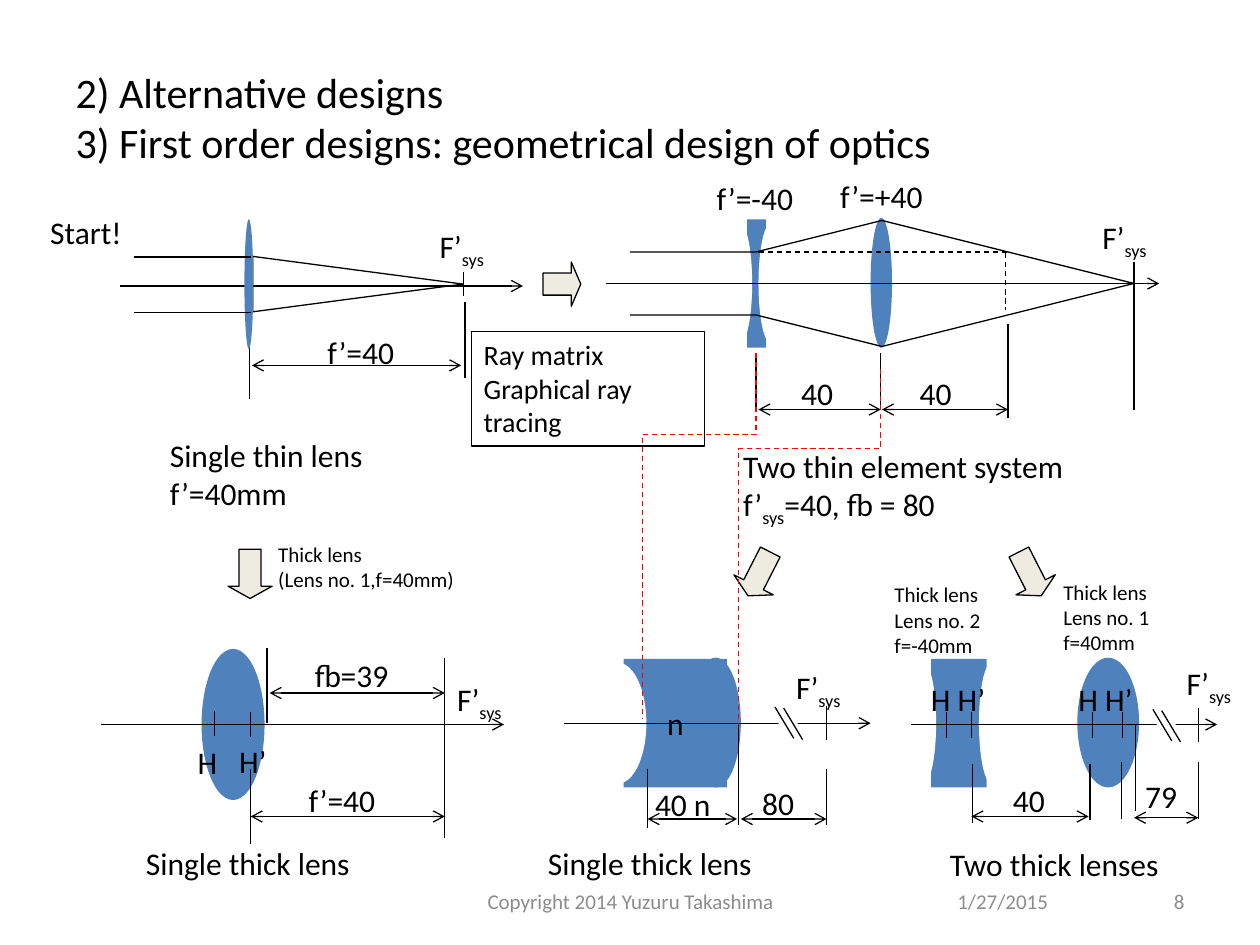
"""Build the slide on alternative and first order optical designs."""
from dataclasses import dataclass

from lxml import etree
from pptx import Presentation
from pptx.dml.color import RGBColor
from pptx.enum.dml import MSO_LINE
from pptx.enum.shapes import MSO_CONNECTOR, MSO_SHAPE
from pptx.enum.text import MSO_ANCHOR, MSO_AUTO_SIZE, PP_ALIGN
from pptx.oxml.ns import qn
from pptx.util import Pt

PX = 9144
STRAIGHT = MSO_CONNECTOR.STRAIGHT
DASH = MSO_LINE.DASH
OVAL, RECT, TRIANGLE = MSO_SHAPE.OVAL, MSO_SHAPE.RECTANGLE, MSO_SHAPE.ISOSCELES_TRIANGLE
DOWN, RIGHT = MSO_SHAPE.DOWN_ARROW, MSO_SHAPE.RIGHT_ARROW
MIDDLE, TOP = MSO_ANCHOR.MIDDLE, MSO_ANCHOR.TOP
GROW, FIXED = MSO_AUTO_SIZE.SHAPE_TO_FIT_TEXT, MSO_AUTO_SIZE.NONE
ALIGN_LEFT, ALIGN_CENTER, ALIGN_RIGHT = PP_ALIGN.LEFT, PP_ALIGN.CENTER, PP_ALIGN.RIGHT
CONVEX_LENS, CONCAVE_LENS = "Lens no. 1", "Lens no. 2"


@dataclass(frozen=True)
class Theme:
    font: str = "Calibri"
    ink: str = "000000"
    glass: str = "4F81BD"
    paper: str = "FFFFFF"
    arrow: str = "EEECE1"
    guide: str = "FF0000"
    footer: str = "8C8C8C"
    title_size: int = 24
    label_size: int = 18
    method_size: int = 16
    note_size: int = 12
    stroke: float = 0.75


THEME = Theme()


def assign(target, values):
    for name, value in values.items():
        setattr(target, name, value)


def style_font(font, size, color):
    assign(font, {"name": THEME.font, "size": Pt(size)})
    font.color.rgb = RGBColor.from_string(color)


def write(frame, text, size=THEME.label_size, color=THEME.ink, align=ALIGN_LEFT, **settings):
    """Fill a frame line by line, setting the parts between tildes as subscripts."""
    assign(frame, settings)
    for index, content in enumerate(text.split("\n")):
        paragraph = frame.add_paragraph() if index else frame.paragraphs[0]
        paragraph.alignment = align
        for part, words in enumerate(content.split("~")):
            run = paragraph.add_run()
            run.text = words
            style_font(run.font, size, color)
            if part % 2:
                run.font._element.set("baseline", "-25000")


def stroke(line, color=THEME.ink, dash=None):
    line.color.rgb = RGBColor.from_string(color)
    assign(line, {"width": Pt(THEME.stroke), "dash_style": dash})


@dataclass
class Region:
    shapes: object
    left: int
    top: int

    def place(self, left, top, width, height):
        return [PX * n for n in (self.left + left, self.top + top, width, height)]

    def label(self, text, left, top, width, height=40, **style):
        box = self.shapes.add_textbox(*self.place(left, top, width, height))
        write(box.text_frame, text, **{"word_wrap": False, "auto_size": GROW, **style})

    def shape(self, kind, left, top, width, height, fill=None, outlined=False, rotation=0, adjust=()):
        shape = self.shapes.add_shape(kind, *self.place(left, top, width, height))
        shape.shadow.inherit = False
        shape.rotation = rotation
        for index, value in enumerate(adjust):
            shape.adjustments[index] = value
        if fill:
            shape.fill.solid()
            shape.fill.fore_color.rgb = RGBColor.from_string(fill)
        else:
            shape.fill.background()
        if outlined:
            stroke(shape.line)
        else:
            shape.line.fill.background()
        return shape

    def line(self, x1, y1, x2, y2, ends=(), dash=None):
        start, finish = self.place(x1, y1, 0, 0)[:2], self.place(x2, y2, 0, 0)[:2]
        connector = self.shapes.add_connector(STRAIGHT, *start, *finish)
        stroke(connector.line, dash=dash)
        for end in ends:
            etree.SubElement(connector.line._get_or_add_ln(), qn(f"a:{end}End"), type="arrow")
        etree.SubElement(connector._element.spPr, qn("a:effectLst"))

    def uprights(self, *spans):
        for x, y1, y2 in spans:
            self.line(x, y1, x, y2)

    def axis(self, x1, x2, y):
        self.line(x1, y, x2, y, ends=("tail",))

    def dimension(self, x1, x2, y):
        self.line(x1, y, x2, y, ends=("head", "tail"))

    def polyline(self, points, color=THEME.ink, dash=None):
        builder = self.shapes.build_freeform(*points[0], scale=PX)
        builder.add_line_segments(points[1:], close=False)
        route = builder.convert_to_shape(PX * self.left, PX * self.top)
        route.shadow.inherit = False
        route.fill.background()
        stroke(route.line, color, dash)

    def focus(self, left, top):
        self.label("F’~sys", left, top, 66)

    def concave_lens(self, left, top, width):
        self.shape(RECT, left, top, width, 102, THEME.glass)
        for hollow in (left - 16, left + width - 6):
            self.shape(OVAL, hollow, top + 3, 20, 96, THEME.paper)

    def axis_break(self, left, top):
        self.shape(RECT, left + 3, top + 6, 15, 14, THEME.paper)
        for shift, drop in ((0, 0), (7, 1)):
            self.line(left + shift, top + drop, left + shift + 15, top + drop + 25)


def heading(slide, region):
    title = slide.shapes.title
    assign(title, dict(zip(("left", "top", "width", "height"), region.place(0, 0, 900, 125))))
    title.text_frame.text = "2) Alternative designs\v3) First order designs: geometrical design of optics"
    assign(title.text_frame, {"vertical_anchor": MIDDLE, "auto_size": FIXED, "word_wrap": True})
    paragraph = title.text_frame.paragraphs[0]
    paragraph.alignment = ALIGN_LEFT
    for run in paragraph.runs:
        style_font(run.font, THEME.title_size, THEME.ink)


def thin_lens(region):
    region.uprights((168, 97, 157), (338, 56, 75), (339, 80, 140))
    region.axis(65, 385, 67)
    region.shape(TRIANGLE, 232, -18, 44, 167, outlined=True, rotation=90)
    region.shape(OVAL, 164, 14, 7, 103, THEME.glass)
    for y in (44, 88):
        region.line(76, y, 169, y)
    region.dimension(170, 336, 130)
    region.focus(309, 15)
    region.label("Start!", 0, 4, 80)
    region.label("f’=40", 220, 99, 75)
    region.label("Single thin lens\nf’=40mm", 95, 181, 190, 70)


def two_thin_lenses(region):
    region.shape(OVAL, 211, 43, 17, 103, THEME.glass)
    region.concave_lens(113, 44, 15)
    region.axis(1, 440, 95)
    region.uprights((120, 150, 197), (219, 150, 195), (320, 127, 202), (420, 78, 105), (420, 105, 195))
    for entry, rim in ((70, 45), (120, 145)):
        region.polyline([(20, entry), (120, entry), (220, rim), (420, 95)])
    region.line(122, 70, 320, 70, dash=DASH)
    region.line(318, 71, 318, 116, dash=DASH)
    region.dimension(122, 219, 195)
    region.dimension(220, 320, 195)
    for text, left, top, width in (("f’=-40", 79, 7, 83), ("f’=+40", 177, 6, 90),
                                   ("40", 146, 162, 48), ("40", 240, 162, 48)):
        region.label(text, left, top, width)
    region.focus(385, 38)
    region.label("Two thin element system\nf’~sys~=40, fb = 80", 100, 220, 297, 70)


def methods(region):
    box = region.shape(RECT, 0, 0, 185, 91, outlined=True)
    write(box.text_frame, "Ray matrix\nGraphical ray tracing", THEME.method_size,
          word_wrap=True, auto_size=GROW, vertical_anchor=TOP)


def single_thick_lens(region):
    region.shape(OVAL, 80, 5, 50, 120, THEME.glass)
    region.axis(0, 320, 65)
    region.uprights((90, 54, 74), (119, 55, 75), (119, 100, 160), (273, 12, 155), (132, 4, 64))
    region.dimension(119, 273, 138)
    region.dimension(134, 273, 40)
    for text, left, top, width in (("H", 67, 75, 38), ("H’", 100, 74, 44), ("f’=40", 155, 105, 75),
                                   ("fb=39", 160, 6, 83), ("Single thick lens", 26, 155, 201)):
        region.label(text, left, top, width)
    region.focus(273, 25)


def meniscus_lens(region):
    region.shape(OVAL, 128, 12, 40, 103, THEME.glass)
    body = region.shape(RECT, 75, 13, 82, 102, THEME.glass)
    write(body.text_frame, "n", align=ALIGN_CENTER, word_wrap=False, vertical_anchor=MIDDLE)
    region.shape(OVAL, 48, 16, 45, 96, THEME.paper)
    region.axis(28, 271, 64)
    region.uprights((236, 50, 77), (94, 100, 147), (166, 65, 145), (236, 100, 145))
    region.dimension(94, 165, 140)
    region.dimension(168, 236, 140)
    for text, left, top, width in (("40 n", 90, 108, 69), ("80", 175, 107, 48),
                                   ("Single thick lens", 5, 155, 201)):
        region.label(text, left, top, width)
    region.focus(202, 15)
    region.axis_break(195, 51)


def two_thick_lenses(region):
    region.shape(OVAL, 155, 72, 49, 103, THEME.glass)
    region.concave_lens(39, 73, 44)
    region.axis(23, 266, 125)
    region.uprights(*((x, 115, 136) for x in (51, 71, 167, 191)))
    region.uprights((251, 112, 139), (72, 156, 203), (165, 156, 201), (190, 155, 200),
                    (201, 125, 194), (251, 155, 200))
    region.dimension(71, 164, 198)
    region.dimension(200, 251, 199)
    for part, focal, left, top in ((CONVEX_LENS, "40", 134, 5), (CONCAVE_LENS, "-40", 0, 7)):
        region.label(f"Thick lens\n{part}\nf={focal}mm", left, top, 98, 70, size=THEME.note_size)
    for text, left, top, width in (("79", 199, 162, 48), ("40", 94, 165, 48), ("H H’", 29, 85, 69),
                                   ("H H’", 146, 85, 69), ("Two thick lenses", 44, 216, 205)):
        region.label(text, left, top, width)
    region.focus(232, 72)
    region.axis_break(215, 113)


def transitions(region):
    region.shape(RIGHT, 251, 8, 30, 35, THEME.arrow, True, adjust=(0.5, 0.25))
    for left, rotation in ((1, 0), (405, 27), (620, 333)):
        region.shape(DOWN, left, 236, 35, 39, THEME.arrow, True, rotation, (0.5, 0.28))
    region.label(f"Thick lens\n({CONVEX_LENS},f=40mm)", 31, 225, 175, 50, size=THEME.note_size)


def guides(region):
    for x1, y1, bend, x2, y2 in ((90, 0, 65, 0, 290), (189, 13, 76, 76, 295)):
        region.polyline([(x1, y1), (x1, bend), (x2, bend), (x2, y2)], THEME.guide, DASH)


def footer(region):
    for text, left, width, align in (("1/27/2015", 408, 233, ALIGN_LEFT),
                                     ("Copyright 2014 Yuzuru Takashima", 0, 317, ALIGN_CENTER),
                                     ("8", 375, 233, ALIGN_RIGHT)):
        region.label(text, left, 0, width, size=THEME.note_size, color=THEME.footer, align=align,
                     word_wrap=True, auto_size=FIXED, vertical_anchor=MIDDLE)


def main():
    deck = Presentation()
    assign(deck, {"slide_width": 1000 * PX, "slide_height": 750 * PX})
    slide = deck.slides.add_slide(deck.slide_layouts[5])
    heading(slide, Region(slide.shapes, 50, 30))
    for build, left, top in ((thin_lens, 30, 160), (two_thin_lenses, 480, 130), (methods, 374, 263),
                             (single_thick_lens, 80, 510), (meniscus_lens, 420, 510),
                             (two_thick_lenses, 700, 450), (transitions, 180, 200),
                             (guides, 510, 280), (footer, 342, 695)):
        build(Region(slide.shapes, left, top))
    deck.save("out.pptx")


if __name__ == "__main__":
    main()
